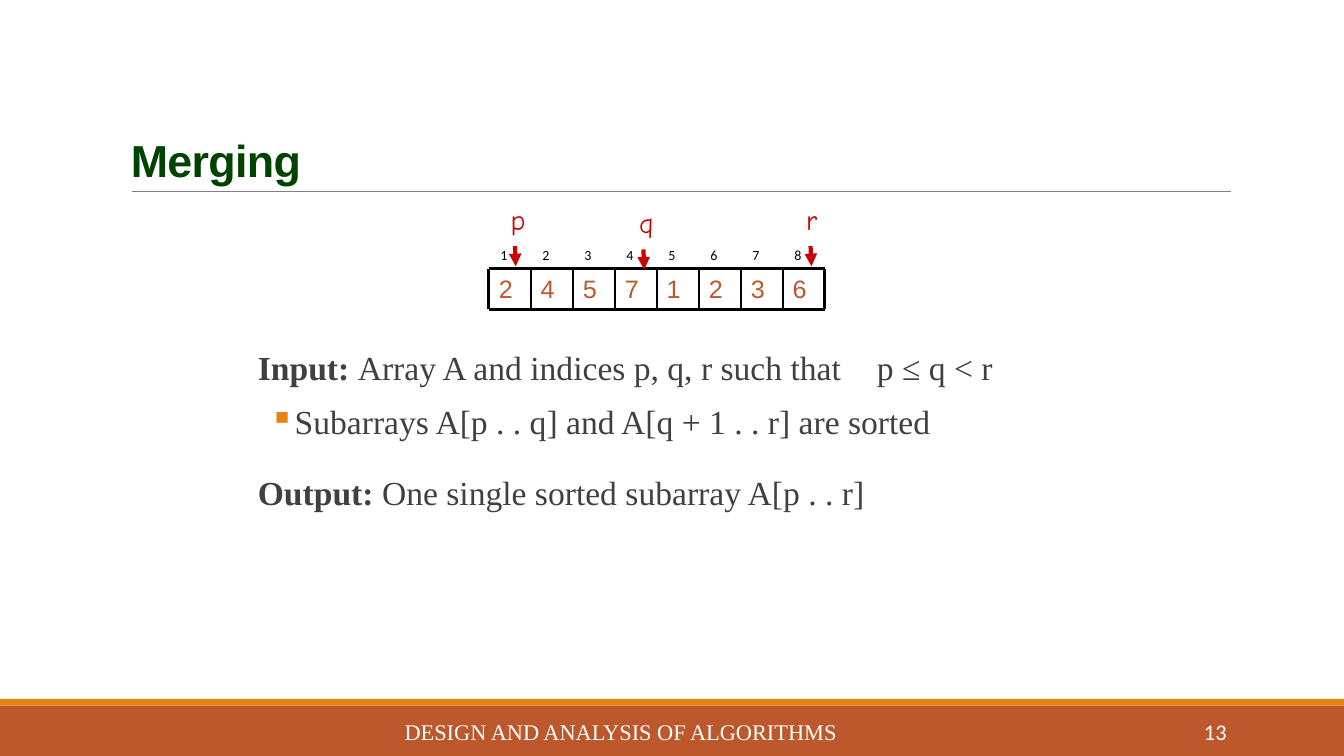
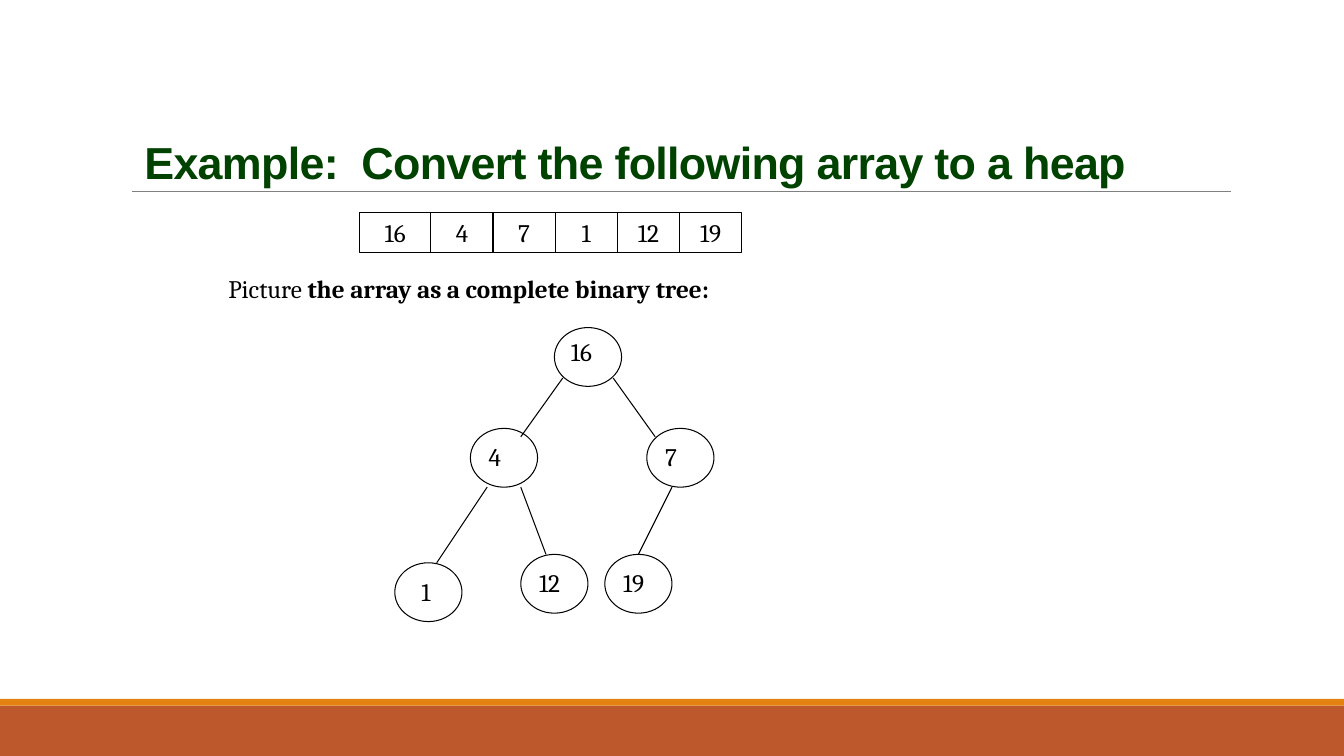
from typing import NamedTuple, Optional

from lxml.etree import SubElement
from pptx import Presentation
from pptx.dml.color import RGBColor
from pptx.enum.shapes import MSO_CONNECTOR, MSO_SHAPE
from pptx.enum.text import MSO_ANCHOR, PP_ALIGN
from pptx.oxml.ns import qn
from pptx.shapes.autoshape import Shape
from pptx.slide import Slide
from pptx.text.text import _Paragraph as Paragraph
from pptx.util import Emu, Pt

PX = 7620  # EMU in one px, 120 px to the inch
SLIDE_WIDTH, SLIDE_HEIGHT = 1600, 900

RUST = RGBColor(0xBD, 0x58, 0x2C)
ORANGE = RGBColor(0xE4, 0x83, 0x12)
GREEN = RGBColor(0x00, 0x42, 0x00)
GRAY = RGBColor(0x80, 0x80, 0x80)
DARK = RGBColor(0x40, 0x40, 0x40)
RED = RGBColor(0xCC, 0x00, 0x00)
BLACK = RGBColor(0x00, 0x00, 0x00)
WHITE = RGBColor(0xFF, 0xFF, 0xFF)


class Style(NamedTuple):
    font: str
    size: int
    color: RGBColor
    bold: bool = False
    tracking: int = 0  # hundredths of a point


class Box(NamedTuple):
    left: int
    top: int
    width: int
    height: int


class Statement(NamedTuple):
    lead: str
    rest: str
    before: int
    after: int
    bullet: bool = False


class Pointer(NamedTuple):
    name: str
    left: int
    top: int


class Node(NamedTuple):
    label: str
    left: int
    top: int
    label_dx: int = 10
    label_dy: int = 10


class Edge(NamedTuple):
    x1: int
    y1: int
    x2: int
    y2: int


TITLE = Style("Arial", 32, GREEN, True, -50)
FOOTER = Style("Times New Roman", 16, WHITE)
PAGE_NUMBER = Style("Calibri", 16, WHITE)
BODY = Style("Times New Roman", 24, DARK)
INDEX = Style("Calibri", 10, BLACK)
VALUE = Style("Arial", 18, RUST)
POINTER = Style("Comic Neue", 20, RED)
HEAP = Style("Cambria", 18, BLACK)

# Array with its pointers
ARRAY_VALUES = "24571236"
ARRAY = Box(582, 320, 400, 48)
CELL = ARRAY.width // len(ARRAY_VALUES)
POINTERS = [Pointer("p", 596, 235), Pointer("r", 948, 235), Pointer("q", 749, 239)]

STATEMENTS = [
    Statement("Input: ", "Array A and indices p, q, r such that\tp ≤ q < r", 0, 2),
    Statement("", "Subarrays A[p . . q] and A[q + 1 . . r] are sorted", 2, 4, True),
    Statement("Output: ", "One single sorted subarray A[p . . r]", 12, 2),
]
CONDITION_TAB = 737
BULLET_MARGIN, BULLET_HANG = 38, 24

# Heap array and tree
HEAP_VALUES = ["16", "4", "7", "1", "12", "19"]
HEAP_LEFT, HEAP_TOP, HEAP_HEIGHT = 428, 253, 48
FIRST_CELL, HEAP_CELL = 85, 74
NODE_WIDTH, NODE_HEIGHT = 80, 70
NODES = [
    Node("16", 660, 390, 8, 5),
    Node("4", 560, 510),
    Node("7", 770, 510),
    Node("12", 620, 660),
    Node("1", 470, 670, 20),
    Node("19", 720, 660),
]
EDGES = [
    Edge(670, 450, 620, 520),
    Edge(580, 580, 520, 670),
    Edge(620, 580, 650, 660),
    Edge(730, 450, 780, 520),
    Edge(800, 580, 760, 660),
]


def px(length: int) -> Emu:
    return Emu(length * PX)


def add_run(paragraph: Paragraph, text: str, style: Style) -> None:
    run = paragraph.add_run()
    run.text = text
    run.font.name = style.font
    run.font.size = Pt(style.size)
    run.font.bold = style.bold
    run.font.color.rgb = style.color
    if style.tracking:
        run._r.get_or_add_rPr().set("spc", str(style.tracking))


def add_text_box(slide: Slide, box: Box, wrap: bool = True,
                 anchor: MSO_ANCHOR = MSO_ANCHOR.TOP) -> Shape:
    shape = slide.shapes.add_textbox(*map(px, box))
    shape.text_frame.word_wrap = wrap
    shape.text_frame.vertical_anchor = anchor
    return shape


def add_label(slide: Slide, box: Box, text: str, style: Style,
              align: PP_ALIGN = PP_ALIGN.LEFT, wrap: bool = True,
              anchor: MSO_ANCHOR = MSO_ANCHOR.TOP) -> Paragraph:
    shape = add_text_box(slide, box, wrap, anchor)
    paragraph = shape.text_frame.paragraphs[0]
    paragraph.alignment = align
    add_run(paragraph, text, style)
    return paragraph


def add_shape(slide: Slide, kind: MSO_SHAPE, box: Box,
              fill: Optional[RGBColor] = None) -> Shape:
    """Draw a filled shape without outline, or a black outline without fill."""
    shape = slide.shapes.add_shape(kind, *map(px, box))
    shape.shadow.inherit = False
    if fill is None:
        shape.fill.background()
        shape.line.color.rgb = BLACK
        shape.line.width = Pt(0.75)
    else:
        shape.fill.solid()
        shape.fill.fore_color.rgb = fill
        shape.line.fill.background()
    return shape


def add_line(slide: Slide, edge: Edge, color: RGBColor, width: float,
             arrow: bool = False) -> None:
    connector = slide.shapes.add_connector(MSO_CONNECTOR.STRAIGHT, *map(px, edge))
    connector.line.color.rgb = color
    connector.line.width = Pt(width)
    if arrow:
        SubElement(connector.line._get_or_add_ln(), qn("a:tailEnd"), type="triangle")
    SubElement(connector._element.spPr, qn("a:effectLst"))


def add_base_slide(presentation: Presentation, title: str, title_box: Box,
                   title_anchor: MSO_ANCHOR) -> Slide:
    """Add a slide with the bottom bands, the title rule and the title."""
    slide = presentation.slides.add_slide(presentation.slide_layouts[6])
    add_shape(slide, MSO_SHAPE.RECTANGLE, Box(0, 840, SLIDE_WIDTH, 60), RUST)
    add_shape(slide, MSO_SHAPE.RECTANGLE, Box(0, 832, SLIDE_WIDTH, 8), ORANGE)
    add_line(slide, Edge(157, 228, 1465, 228), GRAY, 0.5)
    paragraph = add_label(slide, title_box, title, TITLE, anchor=title_anchor)
    if title_anchor == MSO_ANCHOR.BOTTOM:
        paragraph.line_spacing = 0.85
    return slide


def add_bullet(paragraph: Paragraph) -> None:
    properties = paragraph._p.get_or_add_pPr()
    properties.set("marL", str(px(BULLET_MARGIN)))
    properties.set("indent", str(-px(BULLET_HANG)))
    bullet_color = SubElement(properties, qn("a:buClr"))
    SubElement(bullet_color, qn("a:srgbClr"), val=str(ORANGE))
    SubElement(properties, qn("a:buChar"), char="▪")


def add_tab(paragraph: Paragraph, position: int) -> None:
    tabs = SubElement(paragraph._p.get_or_add_pPr(), qn("a:tabLst"))
    SubElement(tabs, qn("a:tab"), pos=str(px(position)), algn="l")


def add_statements(slide: Slide) -> None:
    frame = add_text_box(slide, Box(307, 398, 1003, 352)).text_frame
    frame.margin_left = frame.margin_right = 0
    for number, statement in enumerate(STATEMENTS):
        paragraph = frame.add_paragraph() if number else frame.paragraphs[0]
        paragraph.line_spacing = 1.2
        paragraph.space_before = Pt(statement.before)
        paragraph.space_after = Pt(statement.after)
        if statement.bullet:
            add_bullet(paragraph)
        if "\t" in statement.rest:
            add_tab(paragraph, CONDITION_TAB)
        if statement.lead:
            add_run(paragraph, statement.lead, BODY._replace(bold=True))
        add_run(paragraph, statement.rest, BODY)


def add_indexed_array(slide: Slide) -> None:
    right, bottom = ARRAY.left + ARRAY.width, ARRAY.top + ARRAY.height
    for position, value in enumerate(ARRAY_VALUES):
        left = ARRAY.left + position * CELL
        add_label(slide, Box(left + 2, 288, 30, 32), str(position + 1), INDEX)
        add_label(slide, Box(left, ARRAY.top, CELL, ARRAY.height), value, VALUE)
    for y in (ARRAY.top, bottom):
        add_line(slide, Edge(ARRAY.left, y, right, y), BLACK, 2.25)
    for x in range(ARRAY.left, right + 1, CELL):
        width = 2.25 if x in (ARRAY.left, right) else 1
        add_line(slide, Edge(x, ARRAY.top, x, bottom), BLACK, width)


def add_pointer(slide: Slide, pointer: Pointer) -> None:
    x, y = pointer.left + 17, pointer.top + 58
    add_line(slide, Edge(x, y, x + 1, y + 24), RED, 3, arrow=True)
    add_label(slide, Box(pointer.left, pointer.top, 42, 51), pointer.name, POINTER,
              wrap=False)


def add_heap_array(slide: Slide) -> None:
    left = HEAP_LEFT
    for position, value in enumerate(HEAP_VALUES):
        width = HEAP_CELL if position else FIRST_CELL
        cell = add_shape(slide, MSO_SHAPE.RECTANGLE,
                         Box(left, HEAP_TOP, width, HEAP_HEIGHT))
        cell.text_frame.vertical_anchor = MSO_ANCHOR.TOP
        paragraph = cell.text_frame.paragraphs[0]
        paragraph.alignment = PP_ALIGN.CENTER
        add_run(paragraph, value, HEAP)
        left += width


def add_node(slide: Slide, node: Node) -> None:
    add_shape(slide, MSO_SHAPE.OVAL,
              Box(node.left, node.top, NODE_WIDTH, NODE_HEIGHT))
    width = 24 + 17 * len(node.label)
    add_label(slide, Box(node.left + node.label_dx, node.top + node.label_dy, width, 48),
              node.label, HEAP, wrap=False)


def build_merging(presentation: Presentation) -> None:
    slide = add_base_slide(presentation, "Merging", Box(144, 37, 1320, 191),
                           MSO_ANCHOR.BOTTOM)
    add_label(slide, Box(440, 847, 598, 48), "DESIGN AND ANALYSIS OF ALGORITHMS",
              FOOTER, PP_ALIGN.CENTER, anchor=MSO_ANCHOR.MIDDLE)
    add_label(slide, Box(1300, 847, 172, 48), "13", PAGE_NUMBER, PP_ALIGN.RIGHT,
              anchor=MSO_ANCHOR.MIDDLE)
    add_statements(slide)
    add_indexed_array(slide)
    for pointer in POINTERS:
        add_pointer(slide, pointer)


def build_heap(presentation: Presentation) -> None:
    slide = add_base_slide(presentation,
                           "Example:  Convert the following array to a heap",
                           Box(160, 154, 1300, 77), MSO_ANCHOR.TOP)
    add_heap_array(slide)
    caption = add_label(slide, Box(260, 320, 1120, 48), "Picture ", HEAP)
    add_run(caption, "the array as a complete binary tree:", HEAP._replace(bold=True))
    for node in NODES:
        add_node(slide, node)
    for edge in EDGES:
        add_line(slide, edge, BLACK, 0.75)


def main() -> None:
    presentation = Presentation()
    presentation.slide_width = px(SLIDE_WIDTH)
    presentation.slide_height = px(SLIDE_HEIGHT)
    build_merging(presentation)
    build_heap(presentation)
    presentation.save("out.pptx")


if __name__ == "__main__":
    main()
